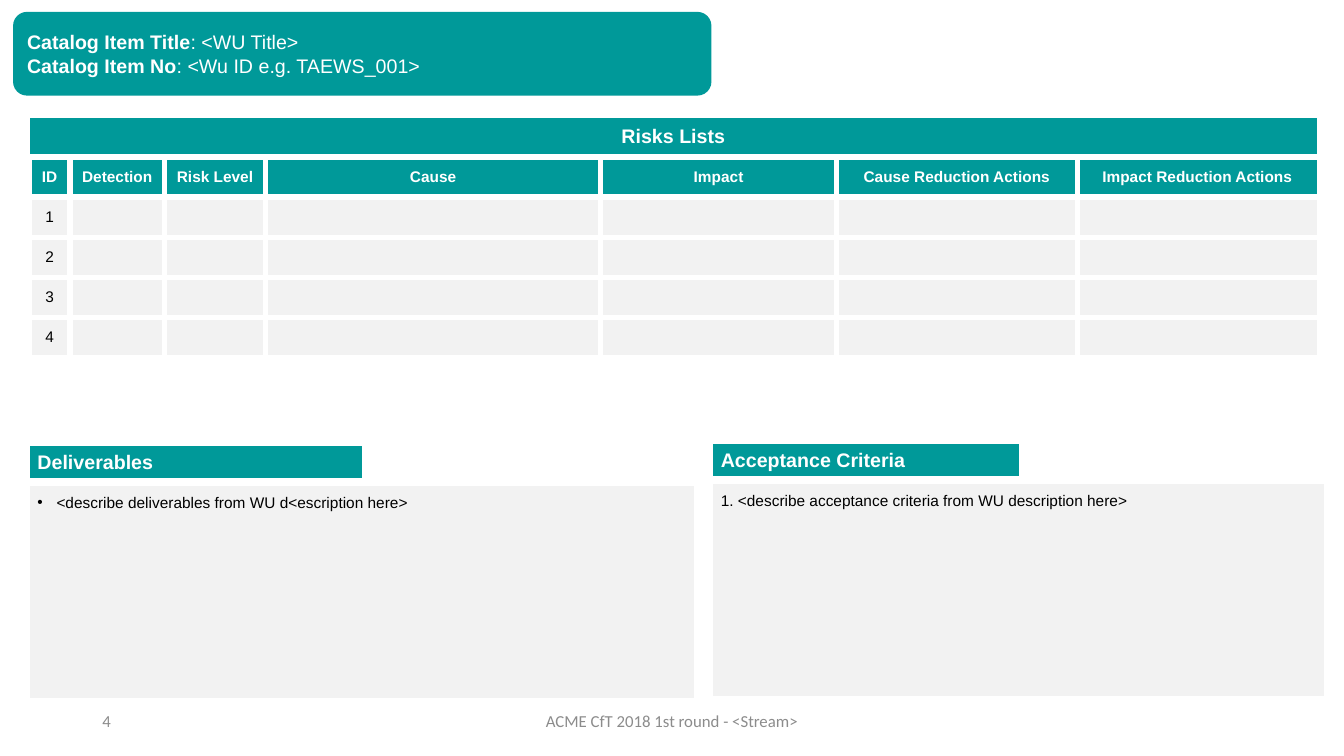
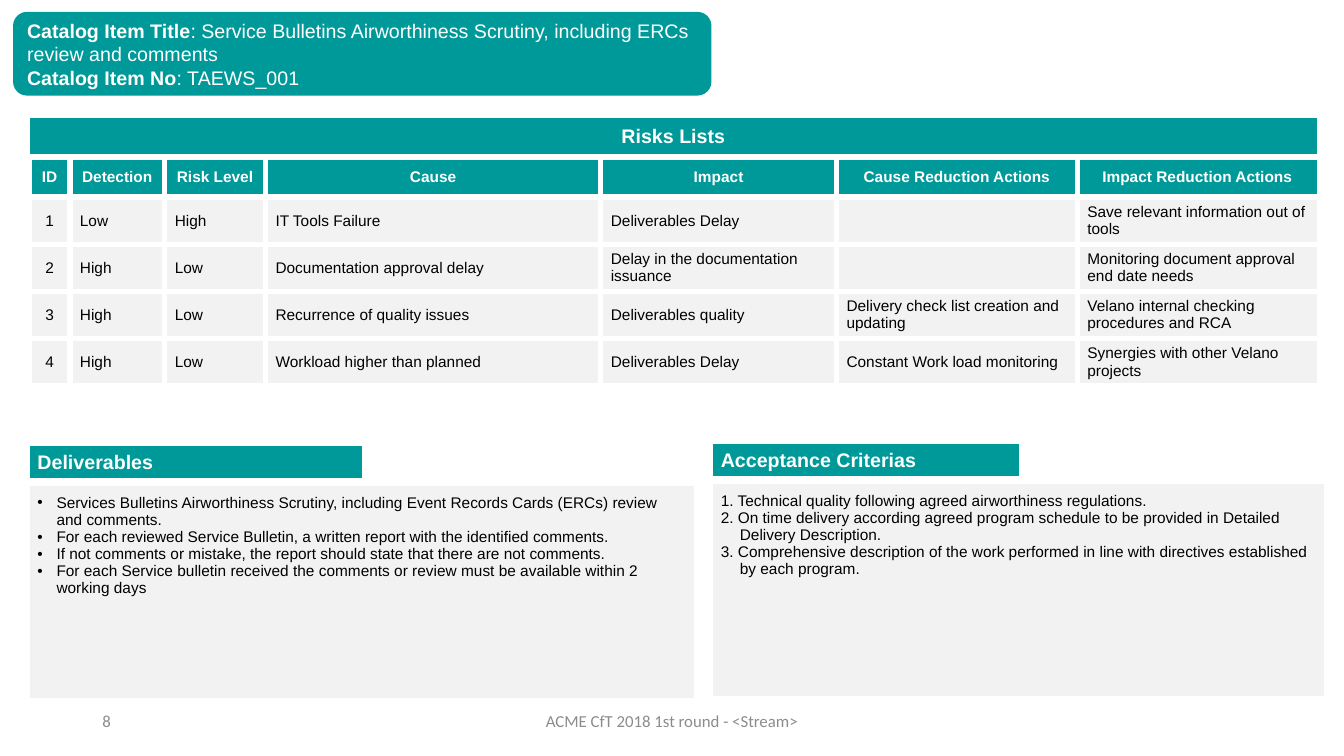
from lxml import etree
from pptx import Presentation
from pptx.dml.color import RGBColor
from pptx.enum.shapes import MSO_SHAPE
from pptx.enum.text import MSO_ANCHOR, PP_ALIGN
from pptx.oxml.ns import qn
from pptx.util import Cm, Pt

TEAL = RGBColor(0x00, 0x99, 0x99)
PALE = RGBColor(0xF2, 0xF2, 0xF2)
WHITE = RGBColor(0xFF, 0xFF, 0xFF)
BLACK = RGBColor(0x00, 0x00, 0x00)
GREY = RGBColor(0x8C, 0x8C, 0x8C)

LEFT, CENTER = PP_ALIGN.LEFT, PP_ALIGN.CENTER
TOP, MIDDLE = MSO_ANCHOR.TOP, MSO_ANCHOR.MIDDLE
ROUNDED = MSO_SHAPE.ROUNDED_RECTANGLE

# Text formats: font attributes plus a colour
HEADING = (dict(name="Arial", size=Pt(14), bold=True), WHITE)
HEADING_VALUE = (dict(name="Arial", size=Pt(14), bold=False), WHITE)
COLUMN_HEAD = (dict(name="Arial", size=Pt(11), bold=True), WHITE)
BODY = (dict(name="Arial", size=Pt(11), bold=False), BLACK)
FOOTER = (dict(name="Calibri", size=Pt(12), bold=False), GREY)

THIN, GAP, WIDE_GAP = 1, 4.5, 6  # white cell borders in points
HANGING = Cm(0.48)

RISK_COLUMNS = {
    "ID": 1.02, "Detection": 2.39, "Risk Level": 2.54, "Cause": 8.45,
    "Impact": 5.94, "Cause Reduction Actions": 6.07,
    "Impact Reduction Actions": 6.05,
}
FOOTER_TEXT = "ACME CfT 2018 1st round - <Stream>"

SHEETS = [
    dict(
        number="4", title="<WU Title>", item="<Wu ID e.g. TAEWS_001>",
        risks=[[""] * 6] * 4,
        deliverables=["<describe deliverables from WU d<escription here>"],
        criteria_head="Acceptance Criteria",
        criteria=["<describe acceptance criteria from WU description here>"],
    ),
    dict(
        number="8",
        title="Service Bulletins Airworthiness Scrutiny, including ERCs review and comments",
        item="TAEWS_001",
        risks=[
            ["Low", "High", "IT Tools Failure", "Deliverables Delay", "",
             "Save relevant information out of tools"],
            ["High", "Low", "Documentation approval delay",
             "Delay in the documentation issuance", "",
             "Monitoring document approval end date needs"],
            ["High", "Low", "Recurrence of quality issues", "Deliverables quality",
             "Delivery check list creation and updating",
             "Velano internal checking procedures and RCA"],
            ["High", "Low", "Workload higher than planned", "Deliverables Delay",
             "Constant Work load monitoring",
             "Synergies with other Velano projects"],
        ],
        deliverables=[
            "Services Bulletins Airworthiness Scrutiny, including Event Records Cards (ERCs) review and comments.",
            "For each reviewed Service Bulletin, a written report with the identified comments.",
            "If not comments or mistake, the report should state that there are not comments.",
            "For each Service bulletin received the comments or review must be available within 2 working days",
        ],
        criteria_head="Acceptance Criterias",
        criteria=[
            "Technical quality following agreed airworthiness regulations.",
            "On time delivery according agreed program schedule to be provided in Detailed Delivery Description.",
            "Comprehensive description of the work performed in line with directives established by each program.",
        ],
    ),
]


class CatalogDeck:
    """Holds the presentation, its style and the current slide."""

    def __init__(self):
        self.deck = Presentation()
        self.deck.slide_width, self.deck.slide_height = Cm(33.87), Cm(19.05)
        self.slide = None

    def new_slide(self):
        self.slide = self.deck.slides.add_slide(self.deck.slide_layouts[6])

    def put_text(self, frame, paragraphs, align=LEFT):
        """Fill a frame; each paragraph is a list of (text, format) runs."""
        for index, runs in enumerate(paragraphs):
            paragraph = frame.paragraphs[0] if index == 0 else frame.add_paragraph()
            paragraph.alignment = align
            for text, (values, color) in runs:
                run = paragraph.add_run()
                run.text = text
                run.font.color.rgb = color
                for key, value in values.items():
                    setattr(run.font, key, value)

    def banner(self, title, item):
        shape = self.slide.shapes.add_shape(ROUNDED, Cm(0.33), Cm(0.3), Cm(17.6), Cm(2.11))
        shape.shadow.inherit = False
        shape.fill.solid()
        shape.fill.fore_color.rgb = TEAL
        shape.line.fill.background()
        shape.text_frame.vertical_anchor = MIDDLE
        labelled = {"Catalog Item Title": title, "Catalog Item No": item}
        self.put_text(shape.text_frame, [
            [(label, HEADING), (f": {value}", HEADING_VALUE)]
            for label, value in labelled.items()])

    def footer(self, text, left, width, align):
        box = self.slide.shapes.add_textbox(Cm(left), Cm(17.65), Cm(width), Cm(1.01))
        box.text_frame.word_wrap = True
        box.text_frame.vertical_anchor = MIDDLE
        self.put_text(box.text_frame, [[(text, FOOTER)]], align)

    def table(self, left, top, widths, heights):
        frame = self.slide.shapes.add_table(
            len(heights), len(widths), Cm(left), Cm(top), Cm(sum(widths)), Cm(sum(heights)))
        table = frame.table
        table.horz_banding = False
        for column, width in zip(table.columns, widths):
            column.width = Cm(width)
        for row, height in zip(table.rows, heights):
            row.height = Cm(height)
        return table

    def cell(self, cell, text, style, fill, align=LEFT, **borders):
        """Style one cell; borders override the usual gap by side (L, R, T, B)."""
        properties = cell._tc.get_or_add_tcPr()
        for side in "LRTB":
            line = etree.SubElement(properties, qn(f"a:ln{side}"),
                                    w=str(Pt(borders.get(side, GAP))))
            solid = etree.SubElement(line, qn("a:solidFill"))
            etree.SubElement(solid, qn("a:srgbClr"), val=str(WHITE))
        cell.fill.solid()
        cell.fill.fore_color.rgb = fill
        cell.vertical_anchor = MIDDLE
        if text:
            self.put_text(cell.text_frame, [[(text, style)]], align)
        else:
            cell.margin_top = cell.margin_bottom = 0

    def risks(self, entries):
        last = len(RISK_COLUMNS) - 1
        table = self.table(0.74, 2.95, list(RISK_COLUMNS.values()), [1.01] * (len(entries) + 2))
        # Title row across all columns
        for column in range(last + 1):
            self.cell(table.cell(0, column), "" if column else "Risks Lists",
                      HEADING, TEAL, CENTER, L=THIN, R=THIN, T=THIN)
        table.cell(0, 0).merge(table.cell(0, last))
        # Column heads, then numbered risks
        rows = [list(RISK_COLUMNS)]
        rows += [[str(number), *entry] for number, entry in enumerate(entries, 1)]
        for row, values in enumerate(rows, 1):
            style, fill = (COLUMN_HEAD, TEAL) if row == 1 else (BODY, PALE)
            for column, value in enumerate(values):
                align = CENTER if row == 1 or column == 0 else LEFT
                self.cell(table.cell(row, column), value, style, fill, align,
                          R=THIN if column == last else GAP)

    def panel(self, left, top, widths, heading, lines, bullet=None):
        table = self.table(left, top, widths, [0.97, 5.5])
        for column, (text, fill) in enumerate([(heading, TEAL), ("", WHITE)]):
            self.cell(table.cell(0, column), text, HEADING, fill, B=WIDE_GAP)
            self.cell(table.cell(1, column), "", BODY, PALE, T=WIDE_GAP)
        body = table.cell(1, 0)
        body.merge(table.cell(1, 1))
        layout = dict(vertical_anchor=TOP, margin_top=Cm(0.3), margin_bottom=Cm(0.13))
        for key, value in layout.items():
            setattr(body, key, value)
        self.put_text(body.text_frame, [[(line, BODY)] for line in lines])
        for paragraph in body.text_frame.paragraphs:
            properties = paragraph._p.get_or_add_pPr()
            properties.set("marL", str(HANGING))
            properties.set("indent", str(-HANGING))
            if bullet:
                etree.SubElement(properties, qn("a:buFont"), typeface="Arial")
                etree.SubElement(properties, qn("a:buChar"), char=bullet)


def main():
    catalog = CatalogDeck()
    for sheet in SHEETS:
        catalog.new_slide()
        catalog.banner(sheet["title"], sheet["item"])
        catalog.risks(sheet["risks"])
        # Lower panels
        catalog.panel(0.69, 11.18, [8.51, 8.36], "Deliverables", sheet["deliverables"], "•")
        numbered = [f"{number}. {line}" for number, line in enumerate(sheet["criteria"], 1)]
        catalog.panel(17.91, 11.13, [7.85, 7.67], sheet["criteria_head"], numbered)
        # Footer
        catalog.footer(FOOTER_TEXT, 11.22, 11.43, CENTER)
        catalog.footer(sheet["number"], 2.33, 7.62, LEFT)
    catalog.deck.save("out.pptx")


if __name__ == "__main__":
    main()
